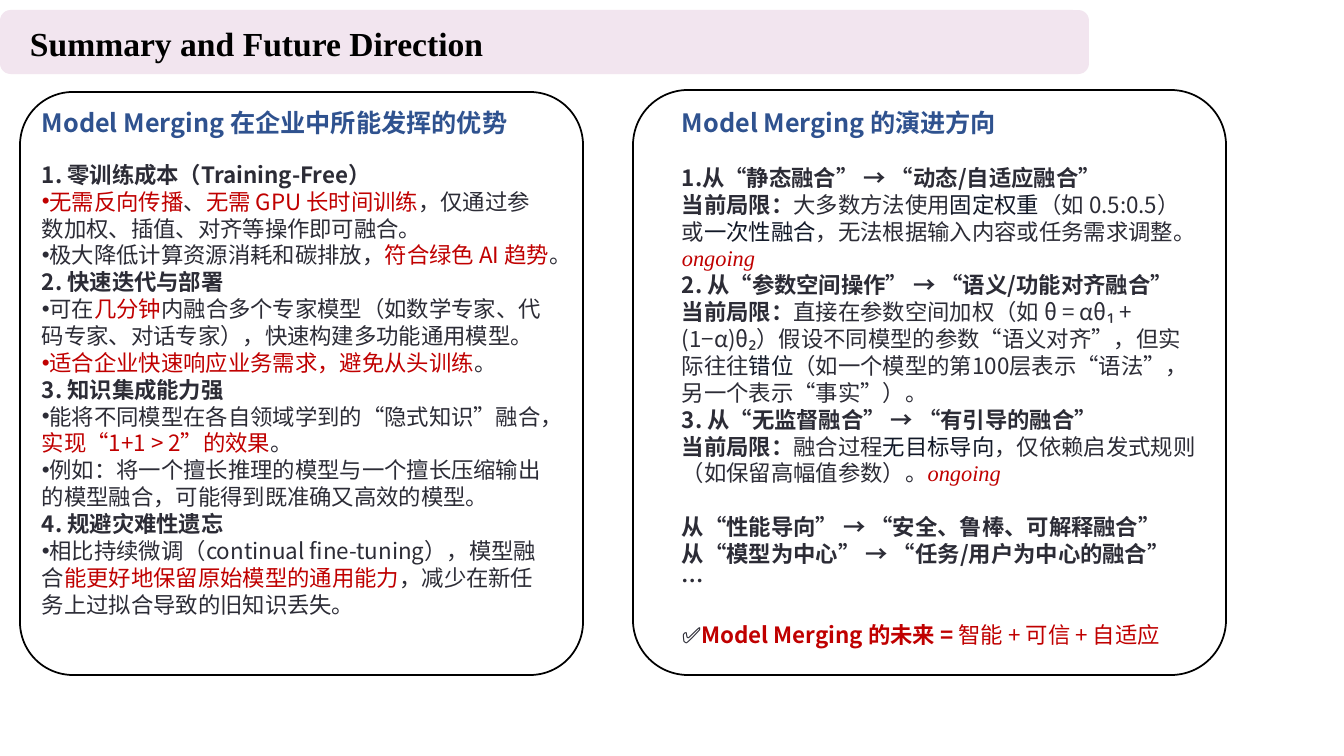
from pptx import Presentation
from pptx import util as u
from pptx.dml.color import RGBColor
from pptx.enum import shapes, text
from pptx.oxml.ns import qn
from lxml import etree

PX = 914400 / 100.8
COLORS = {"bar": "F2E5EF", "black": "000000", "heading": "2F528F",
          "body": "2C2C36", "red": "C00000", "ink": "111827"}
CJK = "Noto Sans CJK SC"
SERIF = "Times New Roman"
LINE_PITCH = 1.2

BOLD = {"bold": True}
RED = {"color": "red"}
INK = {"color": "ink"}
CALIBRI = {"font": "Calibri"}
ONGOING = {"font": SERIF, "color": "red", "italic": True}
LIMIT = ("当前局限：", BOLD)

ADVANTAGES = [
    ("1. 零训练成本（Training-Free）", [
        [("无需反向传播", RED), "、", ("无需 GPU 长时间训练", RED),
         "，仅通过参数加权、插值、对齐等操作即可融合。"],
        ["极大降低计算资源消耗和碳排放，", ("符合绿色 AI 趋势", RED), "。"]]),
    ("2. 快速迭代与部署", [
        ["可在", ("几分钟", RED),
         "内融合多个专家模型（如数学专家、代码专家、对话专家），快速构建多功能通用模型。"],
        [("适合企业快速响应业务需求，避免从头训练", RED), "。"]]),
    ("3. 知识集成能力强", [
        ["能将不同模型在各自领域学到的“隐式知识”融合，", ("实现“1+1 > 2”的效果", RED), "。"],
        ["例如：将一个擅长推理的模型与一个擅长压缩输出的模型融合，可能得到既准确又高效的模型。"]]),
    ("4. 规避灾难性遗忘", [
        ["相比持续微调（continual fine-tuning），模型融合",
         ("能更好地保留原始模型的通用能力", RED),
         "，减少在新任务上过拟合导致的旧知识丢失。"]]),
]

DIRECTIONS = [
    ("1.从“静态融合” → “动态/自适应融合”", [
        LIMIT, "大多数方法使用", ("固定权重", INK), "（如 0.5:0.5）或", ("一次性融合", INK),
        "，无法根据输入内容或任务需求调整", ("。", CALIBRI), (" ongoing", ONGOING)]),
    ("2. 从“参数空间操作” → “语义/功能对齐融合”", [
        LIMIT, "直接在参数空间加权（如 θ = αθ₁ + (1−α)θ₂）假设不同模型的参数“语义对齐”，但实际往往",
        ("错位", INK), "（如一个模型的第100层表示“语法”，另一个表示“事实”）。"]),
    ("3. 从“无监督融合” → “有引导的融合”", [
        LIMIT, "融合过程", ("无目标导向", INK), "，仅依赖启发式规则（如保留高幅值参数）",
        ("。", CALIBRI), ("ongoing", ONGOING)]),
]
OUTLOOK = ["从“性能导向” → “安全、鲁棒、可解释融合”",
           "从“模型为中心” → “任务/用户为中心的融合”", "…"]
FUTURE = [("✅", BOLD), ("Model Merging 的未来 = ", {"color": "red", "bold": True}),
          ("智能 + 可信 + 自适应", RED)]


def px(*lengths):
    return [u.Emu(round(n * PX)) for n in lengths]


def rgb(name):
    return RGBColor.from_string(COLORS[name])


def add_run(p, content, size=16, font=CJK, color="body", bold=False, italic=False):
    r = p.add_run()
    r.text = content
    r.font.size = u.Pt(size)
    r.font.name = font
    r.font.bold = bold
    r.font.italic = italic
    r.font.color.rgb = rgb(color)
    ea = etree.SubElement(r._r.get_or_add_rPr(), qn("a:ea"))
    ea.set("typeface", CJK)


def add_paragraph(tf, runs, bullet=False, gap=False, size=16, **fmt):
    p = tf.paragraphs[0] if not tf.paragraphs[0].runs else tf.add_paragraph()
    pitch = u.Pt(size * LINE_PITCH)
    p.line_spacing = pitch
    if gap:
        p.space_before = pitch
    if bullet:
        pPr = p._p.get_or_add_pPr()
        pPr.set("marL", "0")
        pPr.set("indent", "0")
        etree.SubElement(pPr, qn("a:buFont")).set("typeface", "Arial")
        etree.SubElement(pPr, qn("a:buChar")).set("char", "•")
    for run in runs:
        content, extra = (run, {}) if isinstance(run, str) else run
        add_run(p, content, **{"size": size, **fmt, **extra})


def add_text_box(s, x, y, w, h):
    tf = s.shapes.add_textbox(*px(x, y, w, h)).text_frame
    tf.word_wrap = True
    tf.auto_size = text.MSO_AUTO_SIZE.NONE
    return tf


def add_label(s, box, content, **fmt):
    add_paragraph(add_text_box(s, *box), [content], bold=True, **fmt)


def add_round_box(s, x, y, w, h, fill=None, line=None, adj=None):
    sp = s.shapes.add_shape(shapes.MSO_SHAPE.ROUNDED_RECTANGLE, *px(x, y, w, h))
    sp.shadow.inherit = False
    if adj is not None:
        sp.adjustments[0] = adj
    if fill:
        sp.fill.solid()
        sp.fill.fore_color.rgb = rgb(fill)
    else:
        sp.fill.background()
    if line:
        sp.line.color.rgb = rgb(line)
        sp.line.width = u.Pt(1.25)
    else:
        sp.line.fill.background()


def add_advantages(s):
    tf = add_text_box(s, 32, 156, 530, 499)
    for title, points in ADVANTAGES:
        add_paragraph(tf, [title], bold=True)
        for point in points:
            add_paragraph(tf, point, bullet=True)


def add_directions(s):
    tf = add_text_box(s, 672, 159, 536, 500)
    for title, limits in DIRECTIONS:
        add_paragraph(tf, [title], bold=True)
        add_paragraph(tf, limits)
    for i, line in enumerate(OUTLOOK):
        add_paragraph(tf, [line], gap=i == 0, bold=True)
    add_paragraph(tf, FUTURE, gap=True)


def main():
    prs = Presentation()
    prs.slide_width, prs.slide_height = px(1344, 756)
    s = prs.slides.add_slide(prs.slide_layouts[6])
    add_round_box(s, 0, 10, 1089, 64, fill="bar")
    add_label(s, (20, 18, 912, 50), "Summary and Future Direction",
              size=24, font=SERIF, color="black")
    add_advantages(s)
    add_label(s, (32, 102, 511, 40), "Model Merging 在企业中所能发挥的优势",
              size=18, color="heading")
    add_label(s, (672, 102, 385, 40), "Model Merging 的演进方向",
              size=18, color="heading")
    add_round_box(s, 20, 92, 563, 583, line="black", adj=0.094)
    add_round_box(s, 633, 90, 593, 585, line="black", adj=0.094)
    add_directions(s)
    prs.save("out.pptx")


if __name__ == "__main__":
    main()
